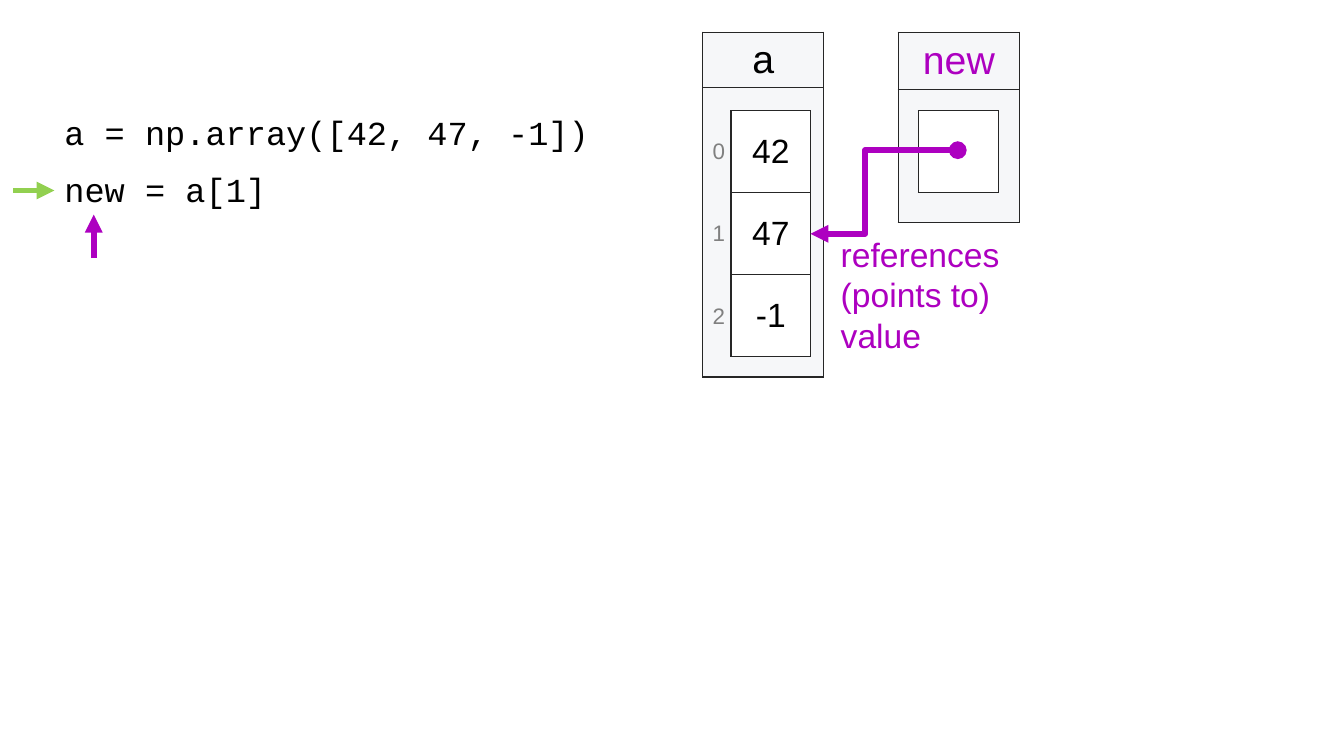
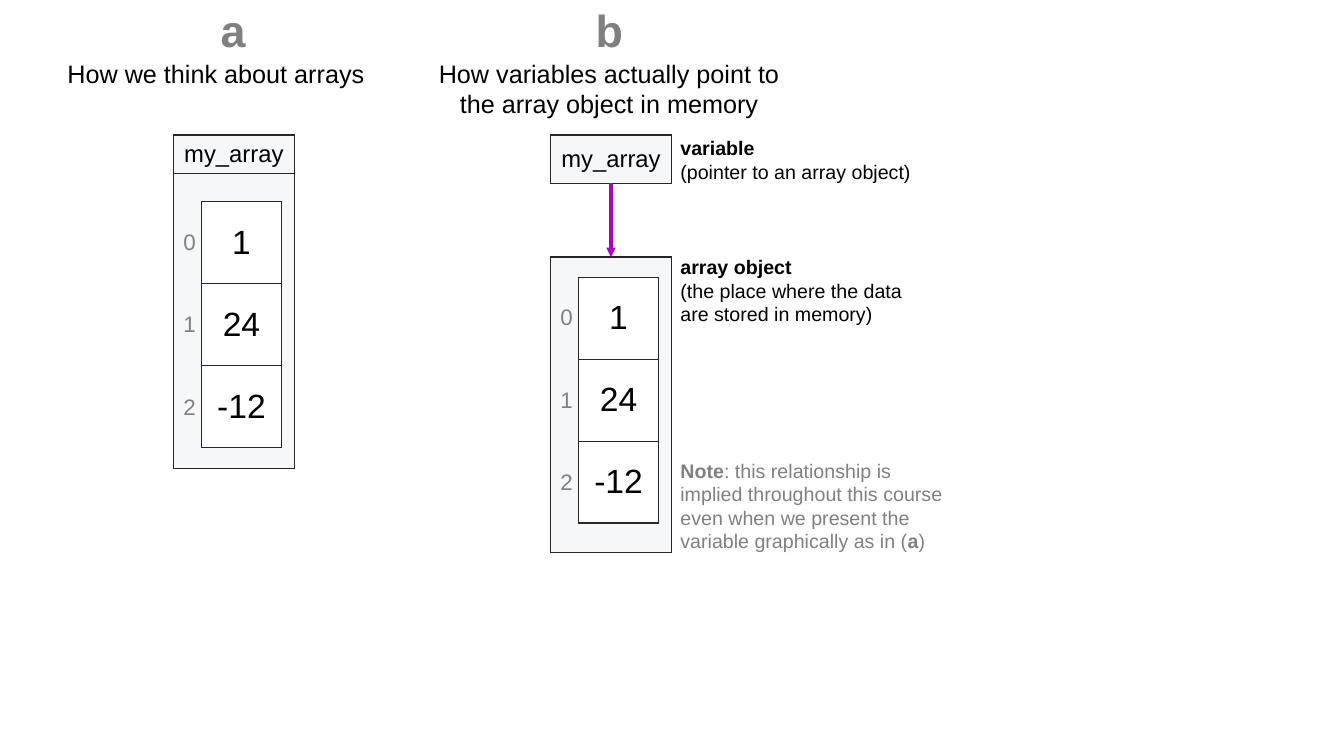
from lxml import etree
from pptx import Presentation
from pptx import util as u
from pptx.dml.color import RGBColor
from pptx.enum import shapes, text
from pptx.oxml import ns

INK, GREY, EDGE = "000000", "808080", "262626"
PANEL, WHITE = "F6F7F9", "FFFFFF"
PURPLE, GREEN = "AD00C0", "92D050"
SANS, MONO = "Arial", "Courier New"
WIDE, CELL, TALL = 1.2, 0.79, 2.44
LEFT, CENTER = text.PP_ALIGN.LEFT, text.PP_ALIGN.CENTER
STRAIGHT, ELBOW = shapes.MSO_CONNECTOR.STRAIGHT, shapes.MSO_CONNECTOR.ELBOW

CODE = [("a = np.array([42, 47, -1])", 1.06, 5.44), ("new = a[1]", 1.63, 2.22)]
FIRST = ["42", "47", "-1"]
SECOND = ["1", "24", "-12"]
HEADS = [
    ("a", 2.09, 0.45, "How we think about arrays", 0.57, 3.18, 0.4, LEFT, False),
    ("b", 5.81, 0.48, "How variables actually point to the array object in memory",
     4.15, 3.78, 0.71, CENTER, True),
]
NOTES = [
    ((6.65, 1.3, 2.54, 0.57), INK,
     [("variable", True), "\n", ("(pointer to an array object)", False)]),
    ((6.65, 2.48, 2.54, 0.81), INK,
     [("array object", True), "\n",
      ("(the place where the data are stored in memory)", False)]),
    ((6.65, 4.5, 2.83, 1.04), GREY,
     [("Note", True),
      (": this relationship is implied throughout this course even when we "
       "present the variable graphically as in (", False),
      ("a", True), (")", False)]),
]


def rgb(code):
    return RGBColor.from_string(code)


def box(nums):
    return [u.Inches(n) for n in nums]


def sub(node, tag, **attrs):
    return etree.SubElement(node, ns.qn(tag), attrs)


def write(para, parts, size, color, font=SANS, align=LEFT):
    para.alignment = align
    for part in parts:
        if part == "\n":
            para.add_line_break()
            continue
        run = para.add_run()
        run.text, run.font.bold = part
        run.font.size, run.font.name = u.Pt(size), font
        run.font.color.rgb = rgb(color)


def label(slide, place, parts, size, color, font=SANS, align=LEFT, wrap=True):
    frame = slide.shapes.add_textbox(*box(place)).text_frame
    frame.word_wrap = wrap
    frame.auto_size = text.MSO_AUTO_SIZE.SHAPE_TO_FIT_TEXT
    write(frame.paragraphs[0], parts, size, color, font, align)


def border(cell):
    props = cell._tc.get_or_add_tcPr()
    for spot, side in enumerate("LRTB"):
        line = etree.Element(ns.qn("a:ln" + side), w=str(u.Pt(1)))
        sub(sub(line, "a:solidFill"), "a:srgbClr", val=EDGE)
        props.insert(spot, line)


def stack(slide, left, top, width, rows, fill, size=24, color=INK, tight=False):
    high = sum(h for _, h in rows)
    table = slide.shapes.add_table(
        len(rows), 1, *box((left, top, width, high))).table
    table.first_row = table.horz_banding = False
    for i, (word, h) in enumerate(rows):
        table.rows[i].height = u.Inches(h)
        cell = table.cell(i, 0)
        cell.fill.solid()
        cell.fill.fore_color.rgb = rgb(fill)
        cell.vertical_anchor = text.MSO_ANCHOR.MIDDLE
        if tight:
            cell.margin_left = cell.margin_right = 0
            cell.margin_top = cell.margin_bottom = 0
        if word:
            write(cell.text_frame.paragraphs[0], [(word, False)],
                  size, color, align=CENTER)
        border(cell)


def cells(slide, left, top, words):
    stack(slide, left + 0.28, top, CELL, [(w, TALL / 3) for w in words], WHITE)
    for i in range(len(words)):
        label(slide, (left, top + 0.21 + 0.82 * i, 0.35, 0.37),
              [(str(i), False)], 16, GREY)


def arrow(slide, ends, color, width, kind=STRAIGHT, head=None, bend=None):
    link = slide.shapes.add_connector(kind, *box(ends))
    link.line.width = u.Pt(width)
    link.line.color.rgb = rgb(color)
    line = link.line._get_or_add_ln()
    if head:
        sub(line, "a:headEnd", type=head)
    sub(line, "a:tailEnd", type="triangle")
    props = link._element.spPr
    sub(props, "a:effectLst")
    if bend:
        sub(props.find(".//" + ns.qn("a:avLst")), "a:gd",
            name="adj1", fmla=f"val {bend}")


deck = Presentation()
deck.slide_width, deck.slide_height = box((13.33, 7.5))
blank = deck.slide_layouts[6]

view = deck.slides.add_slide(blank)
stack(view, 6.97, 0.32, WIDE, [("a", 0.55), ("", 2.87)], PANEL, 28)
cells(view, 6.97, 1.1, FIRST)
for words, top, width in CODE:
    label(view, (0.54, top, width, 0.5), [(words, False)], 24, INK, MONO, wrap=False)
arrow(view, (0.13, 1.89, 0.54, 1.89), GREEN, 4.25)
stack(view, 8.91, 0.32, WIDE, [("new", 0.57), ("", 1.32)], PANEL, 28, PURPLE)
stack(view, 9.11, 1.1, CELL, [("", TALL / 3)], WHITE)
arrow(view, (0.93, 2.56, 0.93, 2.13), PURPLE, 4.25)
arrow(view, (9.5, 1.49, 8.04, 2.32), PURPLE, 4.25, ELBOW, "oval", 62900)
label(view, (8.24, 2.27, 2.05, 1.31),
      [("references (points to) value", False)], 24, PURPLE)

model = deck.slides.add_slide(blank)
stack(model, 1.72, 1.34, WIDE, [("my_array", 0.38), ("", 2.93)], PANEL, 17, tight=True)
cells(model, 1.72, 2, SECOND)
stack(model, 5.46, 1.34, WIDE, [("my_array", 0.48)], PANEL, 17, tight=True)
stack(model, 5.46, 2.55, WIDE, [("", 2.93)], PANEL)
cells(model, 5.46, 2.75, SECOND)
arrow(model, (6.06, 1.82, 6.06, 2.55), PURPLE, 2.25)
for mark, left, width, title, start, span, high, align, wrap in HEADS:
    label(model, (left, -0.02, width, 0.64), [(mark, True)], 32, GREY, wrap=False)
    label(model, (start, 0.53, span, high), [(title, False)], 18, INK,
          align=align, wrap=wrap)
for place, color, parts in NOTES:
    label(model, place, parts, 14, color)

deck.save("out.pptx")
